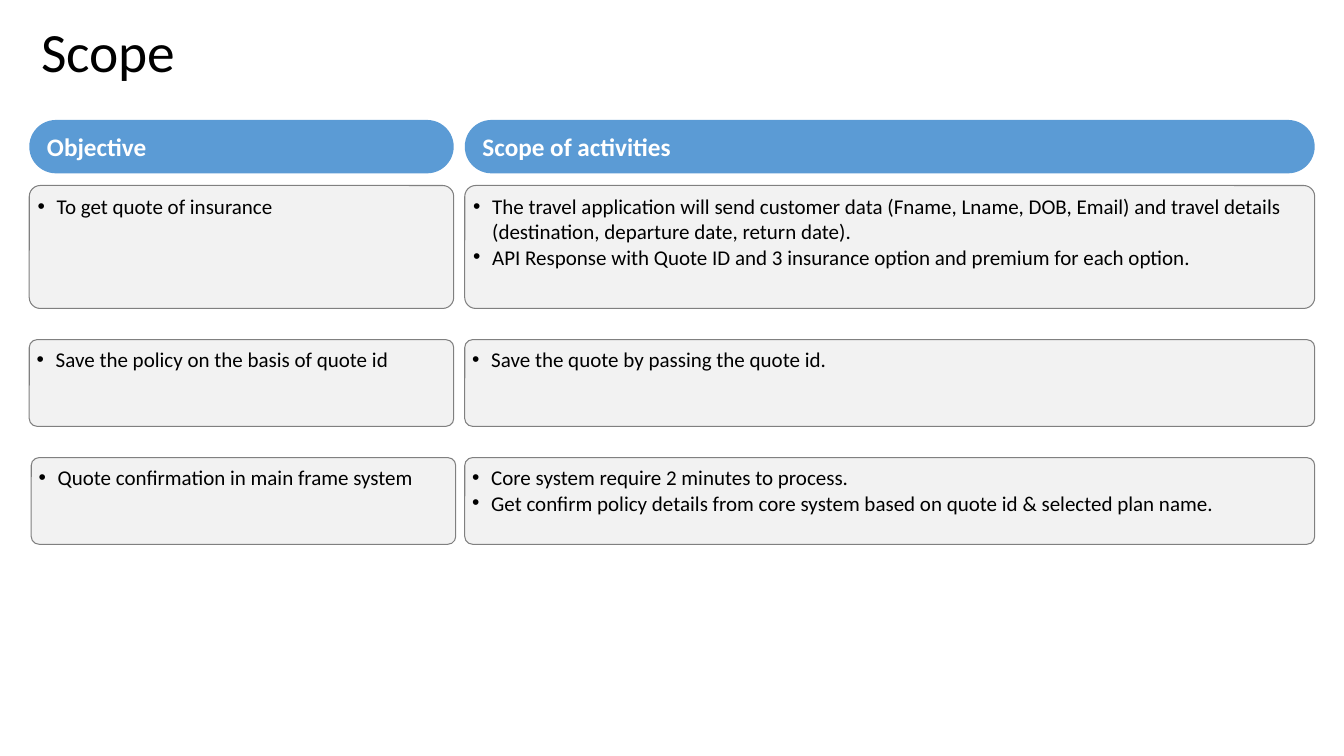
from pptx import Presentation
from pptx.util import Inches, Pt
from pptx.dml.color import RGBColor
from pptx.enum.shapes import MSO_SHAPE
from pptx.enum.text import MSO_ANCHOR as Anchor, PP_ALIGN as Align
from lxml import etree

# Content
TITLE = "Scope"
HEADERS = ["Objective", "Scope of activities"]
ROWS = [
    (["To get quote of insurance"],
     ["The travel application will send customer data (Fname, Lname, DOB, Email) "
      "and travel details (destination, departure date, return date).",
      "API Response with Quote ID and 3 insurance option and premium for each option."]),
    (["Save the policy on the basis of quote id"],
     ["Save the quote by passing the quote id."]),
    (["Quote confirmation in main frame system"],
     ["Core system require 2 minutes to process.",
      "Get confirm policy details from core system based on quote id & selected plan name."]),
]

# Layout and style
COLUMNS = [(0.29, 4.21), (4.61, 8.43)]  # left, width
HEADER_TOP, HEADER_HEIGHT = 1.19, 0.53
ROWS_TOP, ROW_GAP = 1.84, 0.31
ROW_HEIGHTS = [1.22, 0.86, 0.86]
NUDGES = {(2, 0): 0.02}  # (row, column): shift to the right
INDENT = Inches(0.19)
FONT = "Calibri"
COLORS = {"header": "5B9BD5", "box": "F2F2F2", "border": "808080",
          "text": "000000", "header_text": "FFFFFF"}


def rgb(name):
    return RGBColor.from_string(COLORS[name])


def add_run(p, text, size, color="text", bold=False):
    r = p.add_run()
    r.text = text
    r.font.name, r.font.size, r.font.bold = FONT, Pt(size), bold
    r.font.color.rgb = rgb(color)


def add_bullet(p):
    pPr = p._p.get_or_add_pPr()
    pPr.set("marL", str(INDENT))
    pPr.set("indent", str(-INDENT))
    ns = pPr.nsmap["a"]
    etree.SubElement(pPr, f"{{{ns}}}buFont").set("typeface", "Arial")
    etree.SubElement(pPr, f"{{{ns}}}buChar").set("char", "•")


def add_round_box(slide, left, top, width, height, rounding, fill):
    sp = slide.shapes.add_shape(MSO_SHAPE.ROUNDED_RECTANGLE, Inches(left),
                                Inches(top), Inches(width), Inches(height))
    sp.adjustments[0] = rounding
    sp.shadow.inherit = False
    sp.fill.solid()
    sp.fill.fore_color.rgb = rgb(fill)
    sp.text_frame.word_wrap = True
    return sp


def add_header(slide, text, left, width):
    sp = add_round_box(slide, left, HEADER_TOP, width, HEADER_HEIGHT, 0.5, "header")
    sp.line.fill.background()
    tf = sp.text_frame
    tf.vertical_anchor = Anchor.MIDDLE
    tf.paragraphs[0].alignment = Align.LEFT
    add_run(tf.paragraphs[0], text, 18, "header_text", True)


def add_bullet_box(slide, bullets, left, top, width, height):
    sp = add_round_box(slide, left, top, width, height, 0.09, "box")
    sp.line.color.rgb = rgb("border")
    sp.line.width = Pt(0.75)
    tf = sp.text_frame
    tf.vertical_anchor = Anchor.TOP
    tf.margin_left = tf.margin_right = tf.margin_top = tf.margin_bottom = Inches(0.05)
    for i, text in enumerate(bullets):
        p = tf.add_paragraph() if i else tf.paragraphs[0]
        p.alignment = Align.LEFT
        add_bullet(p)
        add_run(p, text, 15)


def main():
    prs = Presentation()
    prs.slide_width, prs.slide_height = Inches(13.33), Inches(7.5)
    slide = prs.slides.add_slide(prs.slide_layouts[6])

    # Title
    box = slide.shapes.add_textbox(Inches(0.31), Inches(0.28), Inches(10.6), Inches(0.53))
    tf = box.text_frame
    tf.word_wrap = True
    tf.vertical_anchor = Anchor.MIDDLE
    tf.paragraphs[0].line_spacing = 0.9
    add_run(tf.paragraphs[0], TITLE, 39.6)

    # Column headers
    for text, (left, width) in zip(HEADERS, COLUMNS):
        add_header(slide, text, left, width)

    # Rows of bullet boxes
    top = ROWS_TOP
    for row, (cells, height) in enumerate(zip(ROWS, ROW_HEIGHTS)):
        for col, (bullets, (left, width)) in enumerate(zip(cells, COLUMNS)):
            add_bullet_box(slide, bullets, left + NUDGES.get((row, col), 0),
                           top, width, height)
        top += height + ROW_GAP

    prs.save("out.pptx")


if __name__ == "__main__":
    main()
